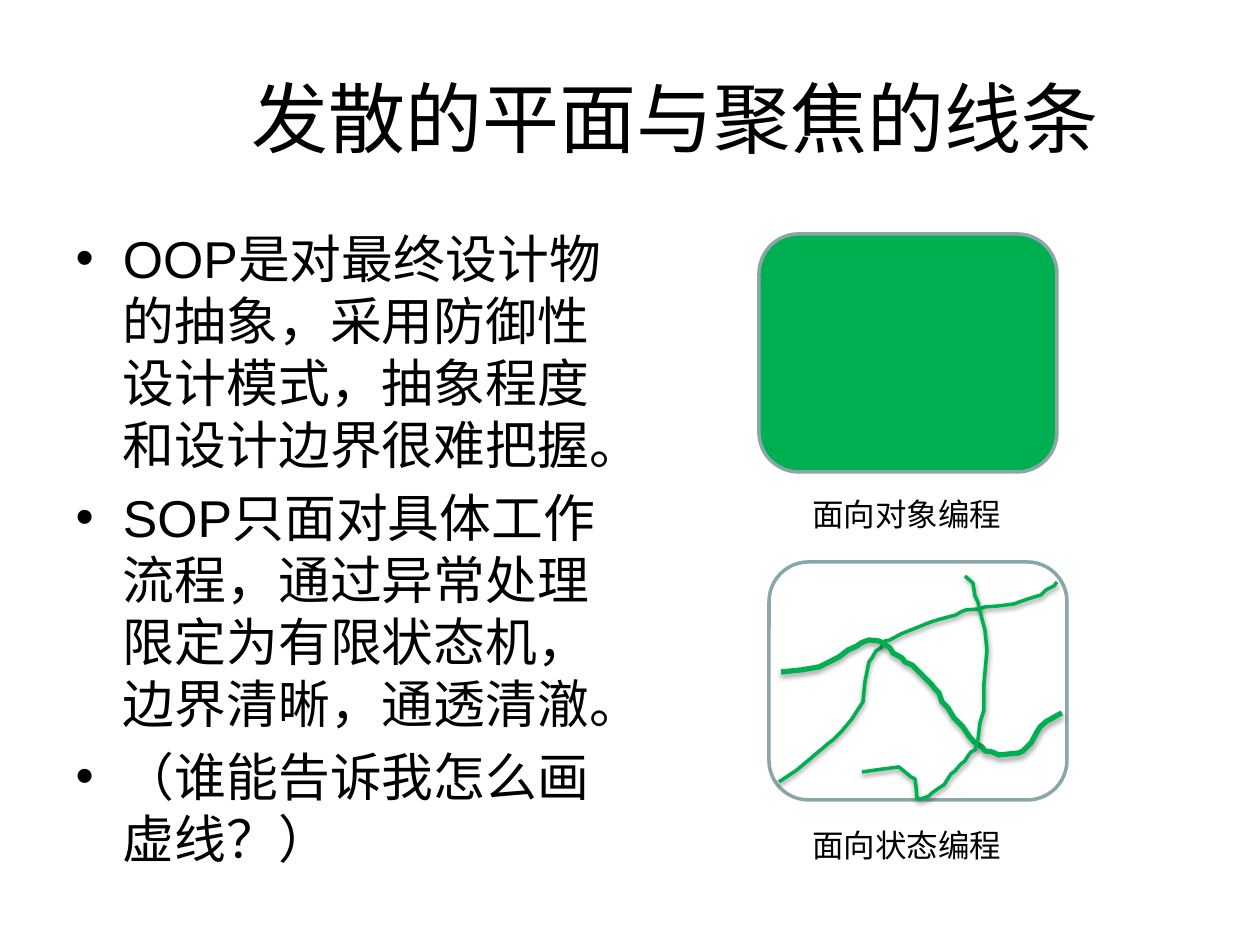
from lxml.etree import SubElement
from pptx import Presentation
from pptx.dml.color import RGBColor
from pptx.enum.shapes import MSO_SHAPE
from pptx.enum.text import MSO_ANCHOR, MSO_AUTO_SIZE, PP_ALIGN
from pptx.oxml.ns import qn
from pptx.util import Emu, Inches, Pt

PIXEL = Inches(1) / 126
FONT = "Arial"
BLACK, WHITE, GREEN, GREY = "000000", "FFFFFF", "00B050", "8AA6A8"

TITLE = "发散的平面与聚焦的线条"
POINTS = [
    "OOP是对最终设计物的抽象，采用防御性设计模式，抽象程度和设计边界很难把握。",
    "SOP只面对具体工作流程，通过异常处理限定为有限状态机，边界清晰，通透清澈。",
    "（谁能告诉我怎么画虚线？）",
]
RISING = [
    (779, 782), (797, 770), (829, 743), (833, 740), (837, 736), (842, 731),
    (852, 719), (859, 708), (863, 702), (865, 682), (868, 667), (869, 662),
    (872, 658), (876, 651), (881, 648), (885, 641), (890, 640), (901, 634),
    (931, 622), (941, 619), (956, 615), (961, 612), (966, 610), (979, 609),
    (985, 607), (999, 606), (1014, 604), (1028, 599), (1041, 595),
    (1046, 590), (1054, 586), (1057, 582),
]
WAVE = [
    (781, 672), (801, 670), (819, 667), (839, 657), (848, 650), (857, 646),
    (861, 643), (866, 641), (869, 640), (879, 641), (883, 643), (890, 648),
    (893, 653), (902, 658), (905, 662), (912, 665), (920, 673), (927, 680),
    (932, 685), (935, 689), (939, 693), (942, 702), (948, 708), (954, 718),
    (963, 727), (969, 736), (974, 742), (982, 747), (985, 751), (992, 752),
    (999, 755), (1019, 753), (1023, 751), (1031, 743), (1037, 732),
    (1040, 727), (1047, 721), (1051, 719), (1056, 716), (1060, 714), (1062, 713),
]
FALLING = [
    (965, 576), (973, 583), (975, 596), (978, 602), (979, 607), (980, 611),
    (982, 619), (985, 630), (987, 650), (984, 684), (984, 710), (980, 723),
    (978, 740), (975, 750), (971, 752), (968, 756), (965, 761), (961, 764),
    (955, 771), (951, 774), (944, 785), (939, 788), (932, 793), (929, 796),
    (921, 799), (917, 798), (916, 786), (915, 779), (911, 777), (899, 767),
    (876, 770), (862, 772),
]


def px(pixels):
    """Turn pixels into EMU."""
    return Emu(round(pixels * PIXEL))


def color(hex_code):
    """Turn a hex string into a colour."""
    return RGBColor.from_string(hex_code)


def place(placeholder, left, top, width, height):
    """Move and size a placeholder."""
    placeholder.left, placeholder.top = px(left), px(top)
    placeholder.width, placeholder.height = px(width), px(height)


def format_text(frame, size):
    """Give every run the slide's font, the size and black."""
    for paragraph in frame.paragraphs:
        for run in paragraph.runs:
            run.font.name = FONT
            run.font.size = Pt(size)
            run.font.color.rgb = color(BLACK)


def add_heading(slide):
    """Fill the title placeholder."""
    heading = slide.shapes.title
    place(heading, 154, 38, 1043, 158)
    frame = heading.text_frame
    frame.text = TITLE
    frame.vertical_anchor = MSO_ANCHOR.MIDDLE
    frame.paragraphs[0].alignment = PP_ALIGN.CENTER
    format_text(frame, 44)


def add_points(slide):
    """Fill the body placeholder with the bulleted points."""
    body = slide.placeholders[1]
    place(body, 63, 220, 567, 624)
    frame = body.text_frame
    frame.text = "\n".join(POINTS)
    frame.auto_size = MSO_AUTO_SIZE.NONE
    format_text(frame, 29.6)


def add_panel(slide, left, top, fill):
    """Add a rounded, outlined panel."""
    panel = slide.shapes.add_shape(
        MSO_SHAPE.ROUNDED_RECTANGLE, px(left), px(top), px(298), px(238))
    panel.shadow.inherit = False
    panel.fill.solid()
    panel.fill.fore_color.rgb = color(fill)
    panel.line.color.rgb = color(GREY)
    panel.line.width = Pt(2)


def add_shadow(shape, distance, opacity):
    """Give a shape a soft black shadow that falls straight down."""
    shape.shadow.inherit = False
    effects = shape.element.spPr.find(qn("a:effectLst"))
    shadow = SubElement(effects, qn("a:outerShdw"), {
        "blurRad": str(Pt(3.1)), "dist": str(Pt(distance)),
        "dir": "5400000", "rotWithShape": "0"})
    black = SubElement(shadow, qn("a:srgbClr"), val=BLACK)
    SubElement(black, qn("a:alpha"), val=str(opacity * 1000))


def add_stroke(slide, points, width, distance, opacity):
    """Draw an open green stroke through the points."""
    builder = slide.shapes.build_freeform(*points[0], scale=PIXEL)
    builder.add_line_segments(points[1:], close=False)
    stroke = builder.convert_to_shape()
    stroke.fill.background()
    stroke.line.color.rgb = color(GREEN)
    stroke.line.width = Pt(width)
    add_shadow(stroke, distance, opacity)


def add_caption(slide, top, text):
    """Add a one-line caption under a panel."""
    caption = slide.shapes.add_textbox(px(800), px(top), px(217), px(50))
    frame = caption.text_frame
    frame.word_wrap = False
    frame.text = text
    format_text(frame, 18)


def main():
    """Build the slide and save it."""
    deck = Presentation()
    deck.slide_width, deck.slide_height = px(1260), px(945)
    slide = deck.slides.add_slide(deck.slide_layouts[1])
    add_heading(slide)
    add_points(slide)
    add_panel(slide, 759, 234, GREEN)
    add_panel(slide, 769, 562, WHITE)
    add_stroke(slide, RISING, 2, 1.6, 38)
    add_stroke(slide, WAVE, 3, 1.8, 35)
    add_stroke(slide, FALLING, 2, 1.6, 38)
    add_caption(slide, 489, "面向对象编程")
    add_caption(slide, 820, "面向状态编程")
    deck.save("out.pptx")


main()
